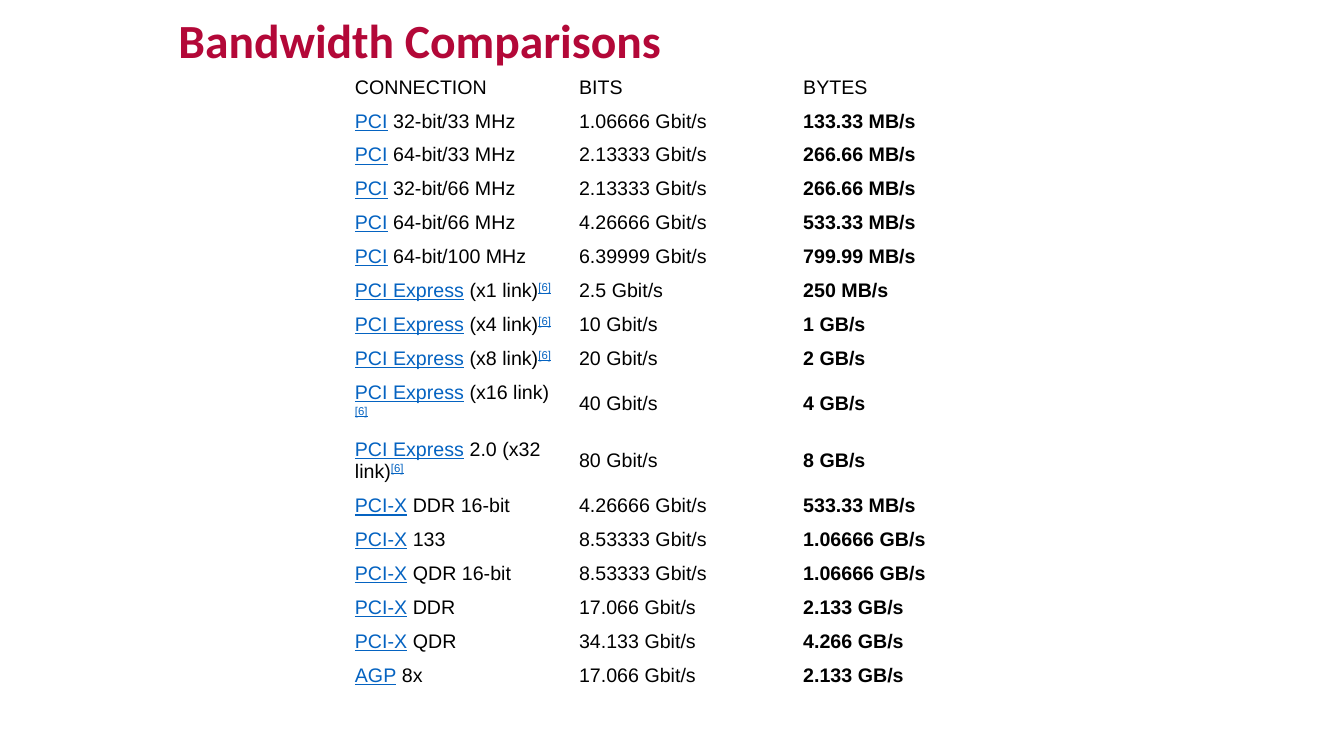
"""Build the Bandwidth Comparisons slide with its table of bus speeds."""
from pptx import Presentation
from pptx.dml.color import RGBColor
from pptx.enum.text import MSO_ANCHOR, MSO_AUTO_SIZE, PP_ALIGN
from pptx.util import Inches, Pt

COLORS = {"title": "B30838", "text": "000000", "term": "0563C1"}
HEADINGS = ("CONNECTION", "BITS", "BYTES")
CONNECTIONS = [
    ("PCI", " 32-bit/33 MHz", "", "1.06666 Gbit/s", "133.33 MB/s"),
    ("PCI", " 64-bit/33 MHz", "", "2.13333 Gbit/s", "266.66 MB/s"),
    ("PCI", " 32-bit/66 MHz", "", "2.13333 Gbit/s", "266.66 MB/s"),
    ("PCI", " 64-bit/66 MHz", "", "4.26666 Gbit/s", "533.33 MB/s"),
    ("PCI", " 64-bit/100 MHz", "", "6.39999 Gbit/s", "799.99 MB/s"),
    ("PCI Express", " (x1 link)", "[6]", "2.5 Gbit/s", "250 MB/s"),
    ("PCI Express", " (x4 link)", "[6]", "10 Gbit/s", "1 GB/s"),
    ("PCI Express", " (x8 link)", "[6]", "20 Gbit/s", "2 GB/s"),
    ("PCI Express", " (x16 link)", "[6]", "40 Gbit/s", "4 GB/s"),
    ("PCI Express", " 2.0 (x32 link)", "[6]", "80 Gbit/s", "8 GB/s"),
    ("PCI-X", " DDR 16-bit", "", "4.26666 Gbit/s", "533.33 MB/s"),
    ("PCI-X", " 133", "", "8.53333 Gbit/s", "1.06666 GB/s"),
    ("PCI-X", " QDR 16-bit", "", "8.53333 Gbit/s", "1.06666 GB/s"),
    ("PCI-X", " DDR", "", "17.066 Gbit/s", "2.133 GB/s"),
    ("PCI-X", " QDR", "", "34.133 Gbit/s", "4.266 GB/s"),
    ("AGP", " 8x", "", "17.066 Gbit/s", "2.133 GB/s"),
]
TABLE_WIDTH, TABLE_HEIGHT = 6.67, 6.17
TALL_ROWS = {9: 0.56, 10: 0.57}


def add_span(para, text, color="text", size=14, name="Arial", bold=False,
             underline=False, raised=False):
    """Append a formatted run to a paragraph."""
    span = para.add_run()
    span.text = text
    span.font.name = name
    span.font.size = Pt(size)
    span.font.bold = bold
    span.font.underline = underline
    span.font.color.rgb = RGBColor.from_string(COLORS[color])
    if raised:
        span._r.get_or_add_rPr().set("baseline", "30000")


deck = Presentation()
deck.slide_width, deck.slide_height = Inches(13.33), Inches(7.5)
page = deck.slides.add_slide(deck.slide_layouts[5])

title = page.shapes.title
title.left, title.top = Inches(1.67), Inches(0.03)
title.width, title.height = Inches(9.58), Inches(0.61)
frame = title.text_frame
frame.auto_size = MSO_AUTO_SIZE.NONE
frame.word_wrap = True
frame.vertical_anchor = MSO_ANCHOR.TOP
frame.margin_top = Inches(0.08)
frame.margin_bottom = 0
frame.paragraphs[0].alignment = PP_ALIGN.LEFT
add_span(frame.paragraphs[0], "Bandwidth Comparisons", color="title", size=34,
         name="Calibri", bold=True)

row_count = len(CONNECTIONS) + 1
table = page.shapes.add_table(row_count, len(HEADINGS), Inches(3.42), Inches(0.7),
                              Inches(TABLE_WIDTH), Inches(TABLE_HEIGHT)).table
table.first_row = False
table.horz_banding = False
for column in table.columns:
    column.width = Inches(TABLE_WIDTH / len(HEADINGS))
plain_height = (TABLE_HEIGHT - sum(TALL_ROWS.values())) / (row_count - len(TALL_ROWS))
for index, row in enumerate(table.rows):
    row.height = Inches(TALL_ROWS.get(index, plain_height))
for cell in table.iter_cells():
    cell.fill.background()
    cell.vertical_anchor = MSO_ANCHOR.MIDDLE

for index, heading in enumerate(HEADINGS):
    add_span(table.cell(0, index).text_frame.paragraphs[0], heading)
for index, (term, detail, note, bits, rate) in enumerate(CONNECTIONS, start=1):
    connection_para, bits_para, bytes_para = (
        cell.text_frame.paragraphs[0] for cell in table.rows[index].cells)
    add_span(connection_para, term, color="term", underline=True)
    add_span(connection_para, detail)
    if note:
        add_span(connection_para, note, color="term", underline=True, raised=True)
    add_span(bits_para, bits)
    add_span(bytes_para, rate, bold=True)

deck.save("out.pptx")
